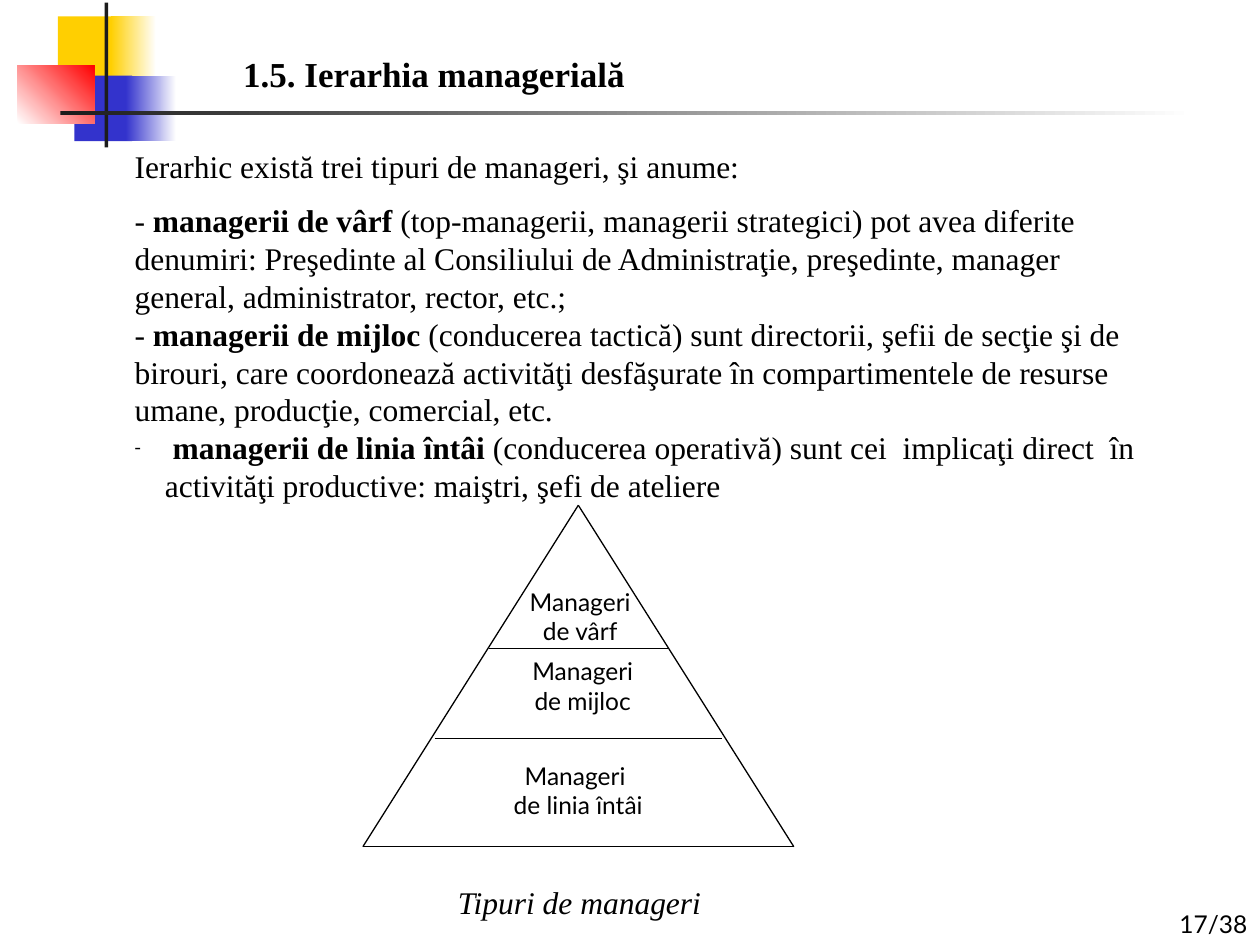
from lxml import etree
from pptx import Presentation
from pptx.dml.color import RGBColor
from pptx.enum.shapes import MSO_CONNECTOR, MSO_SHAPE
from pptx.enum.text import MSO_ANCHOR as ANCHOR, MSO_AUTO_SIZE, PP_ALIGN as ALIGN
from pptx.oxml.ns import qn
from pptx.util import Inches, Pt

COLORS = {"text": "000000", "yellow": "FFCF01", "blue": "3333CC",
          "red": "FF0000", "dark": "1C1C1C", "white": "FFFFFF"}
SERIF, SANS = "Times New Roman", "Lato"


def rgb(name):
    return RGBColor.from_string(COLORS[name])


def set_box(sp, box, anchor=ANCHOR.TOP):
    """Place a text shape and set up its frame."""
    sp.left, sp.top, sp.width, sp.height = (Inches(v) for v in box)
    tf = sp.text_frame
    for name, value in {"word_wrap": True, "auto_size": MSO_AUTO_SIZE.NONE,
                        "vertical_anchor": anchor}.items():
        setattr(tf, name, value)
    return tf


def add_run(p, text, size, font=SERIF, **extra):
    r = p.add_run()
    r.text = text
    for name, value in {"size": Pt(size), "name": font, **extra}.items():
        setattr(r.font, name, value)
    r.font.color.rgb = rgb("text")


def add_label(s, box, text, size, font=SANS, align=ALIGN.CENTER,
              anchor=ANCHOR.TOP, **extra):
    tf = set_box(s.shapes.add_textbox(0, 0, 0, 0), box, anchor)
    for i, line in enumerate(text.split("\n")):
        p = tf.add_paragraph() if i else tf.paragraphs[0]
        p.alignment = align
        add_run(p, line, size, font, **extra)


def add_block(s, box, start, end=None, angle=0):
    """Borderless rectangle, solid or fading from start to end."""
    sp = s.shapes.add_shape(MSO_SHAPE.RECTANGLE, *(Inches(v) for v in box))
    sp.shadow.inherit = False
    sp.line.fill.background()
    if end is None:
        sp.fill.solid()
        sp.fill.fore_color.rgb = rgb(start)
        return
    sp.fill.gradient()
    sp.fill.gradient_angle = angle
    for stop, color, pos in zip(sp.fill.gradient_stops, (start, end), (0, 1)):
        stop.color.rgb = rgb(color)
        stop.position = pos


def add_line(s, x1, y1, x2, y2):
    cn = s.shapes.add_connector(MSO_CONNECTOR.STRAIGHT,
                                *(Inches(v) for v in (x1, y1, x2, y2)))
    cn.line.color.rgb = rgb("text")
    cn.line.width = Pt(0.75)
    etree.SubElement(cn._element.spPr, qn("a:effectLst"))


def add_decoration(s, x, y):
    """Coloured squares with the crossing bars."""
    blocks = [
        ((0.32, 0.11, 0.48, 0.52), "yellow"),
        ((0.74, 0.11, 0.36, 0.52), "yellow", "white"),
        ((0.45, 0.58, 0.46, 0.52), "blue"),
        ((0.86, 0.58, 0.4, 0.52), "blue", "white"),
        ((0, 0.5, 0.61, 0.46), "white", "red", 45),
        ((0.69, 0, 0.03, 1.15), "dark"),
        ((0.34, 0.86, 9, 0.03), "dark", "white"),
    ]
    for (dx, dy, w, h), *fill in blocks:
        add_block(s, (x + dx, y + dy, w, h), *fill)


def add_title(s, box):
    tf = set_box(s.shapes.title, box)
    p = tf.paragraphs[0]
    p.alignment = ALIGN.LEFT
    add_run(p, "1.5. Ierarhia managerială", 20, bold=True)


def add_dash_bullet(p, indent):
    pPr = p._p.get_or_add_pPr()
    pPr.set("marL", str(Inches(indent)))
    pPr.set("indent", str(-Inches(indent)))
    color = etree.SubElement(pPr, qn("a:buClr"))
    etree.SubElement(color, qn("a:srgbClr")).set("val", COLORS["text"])
    for tag, key, value in (("a:buSzPct", "val", "60000"),
                            ("a:buFont", "typeface", SERIF),
                            ("a:buChar", "char", "-")):
        etree.SubElement(pPr, qn(tag)).set(key, value)


def add_body(s, box):
    # Each paragraph: lead-in, bold term, explanation
    paragraphs = [
        ("Ierarhic există trei tipuri de manageri, şi anume:", "", ""),
        ("- ", "managerii de vârf",
         " (top-managerii, managerii strategici) pot avea diferite denumiri: "
         "Preşedinte al Consiliului de Administraţie, preşedinte, manager "
         "general, administrator, rector, etc.;"),
        ("- ", "managerii de mijloc",
         " (conducerea tactică) sunt directorii, şefii de secţie şi de "
         "birouri, care coordonează activităţi desfăşurate în "
         "compartimentele de resurse umane, producţie, comercial, etc."),
        ("", " managerii de linia întâi",
         " (conducerea operativă) sunt cei  implicaţi direct  în activităţi "
         "productive: maiştri, şefi de ateliere"),
    ]
    tf = set_box(s.shapes.add_textbox(0, 0, 0, 0), box)
    for i, parts in enumerate(paragraphs):
        p = tf.add_paragraph() if i else tf.paragraphs[0]
        if not parts[0]:
            add_dash_bullet(p, 0.24)
        p.line_spacing = Pt(21.6)
        if i == 1:
            p.space_before = Pt(9.3)
        for text, bold in zip(parts, (False, True, False)):
            if text:
                add_run(p, text, 18, bold=bold)


def add_pyramid(s, x, y, w, h):
    """Triangle cut into three management levels."""
    mid = x + w / 2
    for corner in (x, x + w):
        add_line(s, mid, y, corner, y + h)
    for dy, half in ((1.14, 0.71), (1.85, 1.14), (h, w / 2)):
        add_line(s, mid - half, y + dy, mid + half, y + dy)
    for dx, dy, width, text in ((1.13, 0.6, 1.19, "Manageri de vârf"),
                                (1.15, 1.15, 1.19, "Manageri de mijloc"),
                                (0.88, 1.98, 1.66, "Manageri \nde linia întâi")):
        add_label(s, (x + dx, y + dy, width, 0.67), text, 14)


def main():
    prs = Presentation()
    prs.slide_width, prs.slide_height = Inches(10), Inches(7.5)
    s = prs.slides.add_slide(prs.slide_layouts[5])
    add_decoration(s, 0.14, 0.02)
    add_title(s, (1.83, 0.37, 3.6, 0.44))
    add_body(s, (0.97, 1.12, 8.16, 2.63))
    add_pyramid(s, 2.88, 4.01, 3.42, 2.71)
    # Caption and page number
    add_label(s, (3.1, 6.96, 3, 0.4), "Tipuri de manageri", 18, SERIF, italic=True)
    add_label(s, (6.83, 7, 3.17, 0.5), "17/38", 14, align=ALIGN.RIGHT,
              anchor=ANCHOR.BOTTOM)
    prs.save("out.pptx")


if __name__ == "__main__":
    main()
